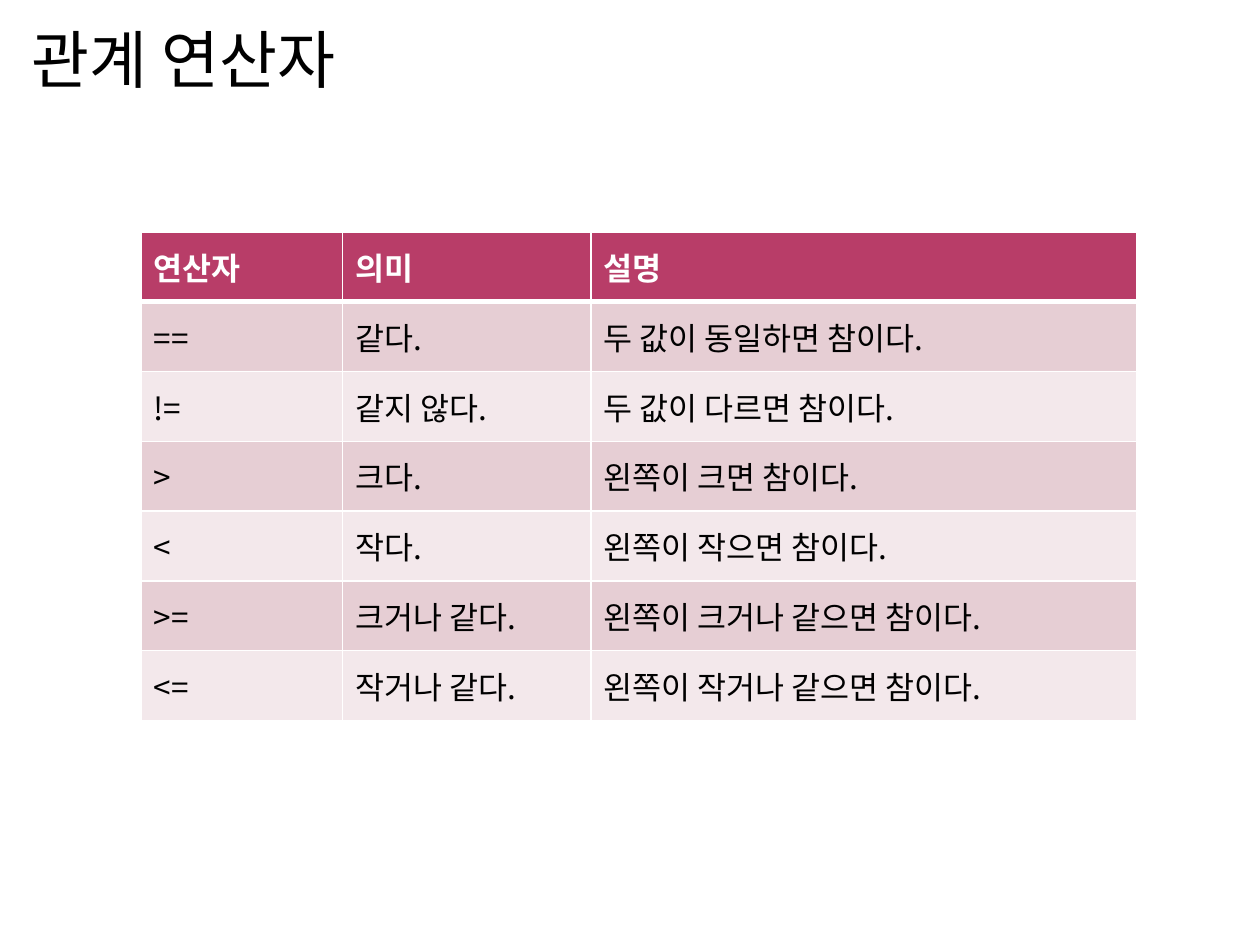
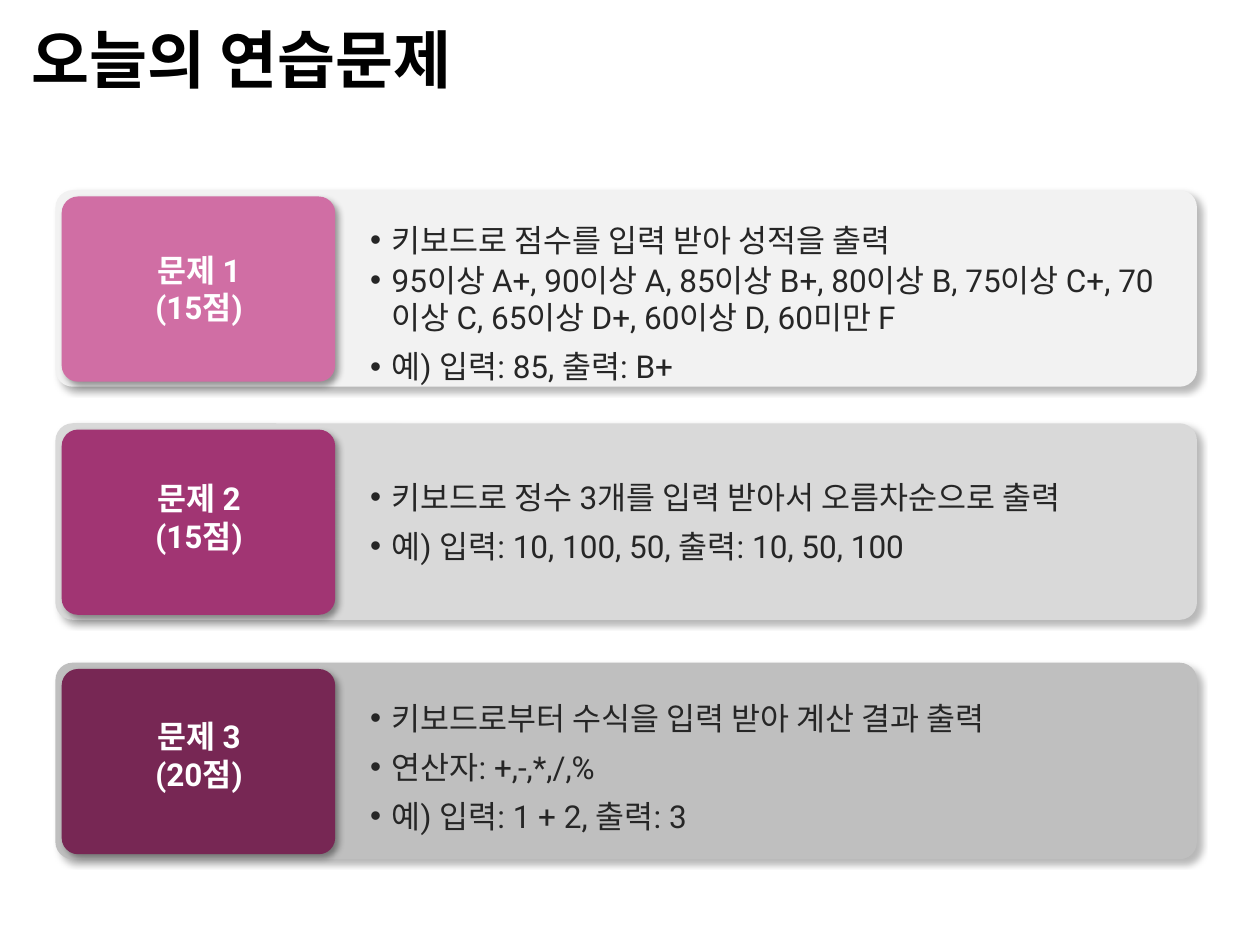
from lxml.etree import SubElement
from pptx import Presentation
from pptx.dml.color import RGBColor
from pptx.enum.shapes import MSO_SHAPE
from pptx.enum.text import MSO_ANCHOR, MSO_AUTO_SIZE, PP_ALIGN
from pptx.oxml.ns import qn
from pptx.util import Inches, Pt

# Shared style
FONT = "Roboto"
KOREAN_FONT = "Noto Sans CJK KR"
BLACK = RGBColor(0x00, 0x00, 0x00)
WHITE = RGBColor(0xFF, 0xFF, 0xFF)
BODY = RGBColor(0x26, 0x26, 0x26)
HEADER = RGBColor(0xB8, 0x3D, 0x68)
ROW_DARK = RGBColor(0xE6, 0xCE, 0xD4)
ROW_LIGHT = RGBColor(0xF3, 0xE8, 0xEB)
PANEL_1 = RGBColor(0xF2, 0xF2, 0xF2)
PANEL_2 = RGBColor(0xD9, 0xD9, 0xD9)
PANEL_3 = RGBColor(0xBF, 0xBF, 0xBF)
TAG_1 = RGBColor(0xD0, 0x6E, 0xA4)
TAG_2 = RGBColor(0xA1, 0x35, 0x73)
TAG_3 = RGBColor(0x77, 0x27, 0x54)

OPERATORS = [
    ("연산자", "의미", "설명"),
    ("==", "같다.", "두 값이 동일하면 참이다."),
    ("!=", "같지 않다.", "두 값이 다르면 참이다."),
    (">", "크다.", "왼쪽이 크면 참이다."),
    ("<", "작다.", "왼쪽이 작으면 참이다."),
    (">=", "크거나 같다.", "왼쪽이 크거나 같으면 참이다."),
    ("<=", "작거나 같다.", "왼쪽이 작거나 같으면 참이다."),
]
COLUMN_WIDTHS = (1.6, 1.97, 4.33)

# Panel top, panel colour, tag colour, label top, label, body box, body lines
PROBLEMS = [
    (1.51, PANEL_1, TAG_1, 1.94, "문제 1\n(15점)", (2.84, 1.63, 6.66, 1.49), [
        "키보드로 점수를 입력 받아 성적을 출력",
        "95이상 A+, 90이상 A, 85이상 B+, 80이상 B, 75이상 C+, "
        "70이상 C, 65이상 D+, 60이상 D, 60미만 F",
        "예) 입력: 85, 출력: B+"]),
    (3.36, PANEL_2, TAG_2, 3.75, "문제 2\n(15점)", (2.84, 3.67, 6.47, 0.87), [
        "키보드로 정수 3개를 입력 받아서 오름차순으로 출력",
        "예) 입력: 10, 100, 50, 출력: 10, 50, 100"]),
    (5.26, PANEL_3, TAG_3, 5.64, "문제 3\n(20점)", (2.84, 5.42, 6.66, 1.27), [
        "키보드로부터 수식을 입력 받아 계산 결과 출력",
        "연산자: +,-,*,/,%",
        "예) 입력: 1 + 2, 출력: 3"]),
]
LONG_LINE = 60  # longer lines wrap and keep single spacing


def format_text(tf, size, color, bold=False, font=FONT):
    for p in tf.paragraphs:
        for r in p.runs:
            r.font.size = Pt(size)
            r.font.bold = bold
            r.font.color.rgb = color
            r.font.name = font
            ea = SubElement(r.font._element, qn("a:ea"))
            ea.set("typeface", KOREAN_FONT)


def add_text(s, box, text, size, color, bold=False, wrap=True):
    tf = s.shapes.add_textbox(*map(Inches, box)).text_frame
    tf.word_wrap = wrap
    tf.text = text
    format_text(tf, size, color, bold)
    return tf


def add_title(s, text, bold=False):
    tf = add_text(s, (0.15, 0.12, 9, 0.69), text, 36, BLACK, bold)
    tf.vertical_anchor = MSO_ANCHOR.MIDDLE


def add_card(s, box, color, shadow_alpha):
    sp = s.shapes.add_shape(MSO_SHAPE.ROUNDED_RECTANGLE, *map(Inches, box))
    sp.adjustments[0] = 0.088
    sp.fill.solid()
    sp.fill.fore_color.rgb = color
    sp.line.fill.background()
    sp.shadow.inherit = False
    effects = sp._element.spPr.find(qn("a:effectLst"))
    shadow = SubElement(effects, qn("a:outerShdw"), blurRad=str(Pt(4)),
                        dist=str(Pt(3)), dir="2700000", algn="tl", rotWithShape="0")
    shade = SubElement(shadow, qn("a:srgbClr"), val=str(BLACK))
    SubElement(shade, qn("a:alpha"), val=str(shadow_alpha * 1000))


def add_label(s, top, text):
    tf = add_text(s, (1.08, top, 1, 0.71), text, 18, WHITE, True, wrap=False)
    tf.auto_size = MSO_AUTO_SIZE.SHAPE_TO_FIT_TEXT
    for p in tf.paragraphs:
        p.alignment = PP_ALIGN.CENTER


def add_bullets(s, box, lines):
    tf = add_text(s, box, "\n".join(lines), 18, BODY)
    tf.auto_size = MSO_AUTO_SIZE.SHAPE_TO_FIT_TEXT
    for p in tf.paragraphs:
        if len(p.text) < LONG_LINE:
            p.line_spacing = Pt(27)
        p.space_before = Pt(1)
        pPr = p._p.get_or_add_pPr()
        pPr.set("marL", str(Inches(0.17)))
        pPr.set("indent", str(-Inches(0.17)))
        SubElement(pPr, qn("a:buFont"), typeface="Arial")
        SubElement(pPr, qn("a:buChar"), char="•")


def set_borders(cell, bottom_width):
    tcPr = cell._tc.get_or_add_tcPr()
    for side, width in (("L", 1), ("R", 1), ("T", 1), ("B", bottom_width)):
        ln = SubElement(tcPr, qn(f"a:ln{side}"), w=str(Pt(width)))
        fill = SubElement(ln, qn("a:solidFill"))
        SubElement(fill, qn("a:srgbClr"), val=str(WHITE))


def add_operator_table(s, rows):
    table = s.shapes.add_table(len(rows), len(COLUMN_WIDTHS), Inches(1.12), Inches(1.84),
                               Inches(7.9), Inches(3.88)).table
    for column, width in zip(table.columns, COLUMN_WIDTHS):
        column.width = Inches(width)
    for i, row in enumerate(rows):
        is_header = i == 0
        band = HEADER if is_header else ROW_DARK if i % 2 else ROW_LIGHT
        for j, text in enumerate(row):
            cell = table.cell(i, j)
            cell.text = text
            cell.vertical_anchor = MSO_ANCHOR.MIDDLE
            set_borders(cell, 3 if is_header else 1)
            if i == 1:
                cell._tc.tcPr.find(qn("a:lnT")).set("w", str(Pt(3)))
            cell.fill.solid()
            cell.fill.fore_color.rgb = band
            format_text(cell.text_frame, 18, WHITE if is_header else BLACK,
                        is_header, KOREAN_FONT)


def main():
    prs = Presentation()
    prs.slide_width, prs.slide_height = Inches(10), Inches(7.5)
    blank = prs.slide_layouts[6]

    # Relational operators
    s = prs.slides.add_slide(blank)
    add_title(s, "관계 연산자")
    add_operator_table(s, OPERATORS)

    # Exercises
    s = prs.slides.add_slide(blank)
    for top, panel, tag, label_top, label, body_box, lines in PROBLEMS:
        add_card(s, (0.44, top, 9.06, 1.56), panel, 27)
        add_card(s, (0.49, top + 0.05, 2.17, 1.47), tag, 40)
        add_label(s, label_top, label)
        add_bullets(s, body_box, lines)
    add_title(s, "오늘의 연습문제", bold=True)

    prs.save("out.pptx")


if __name__ == "__main__":
    main()
